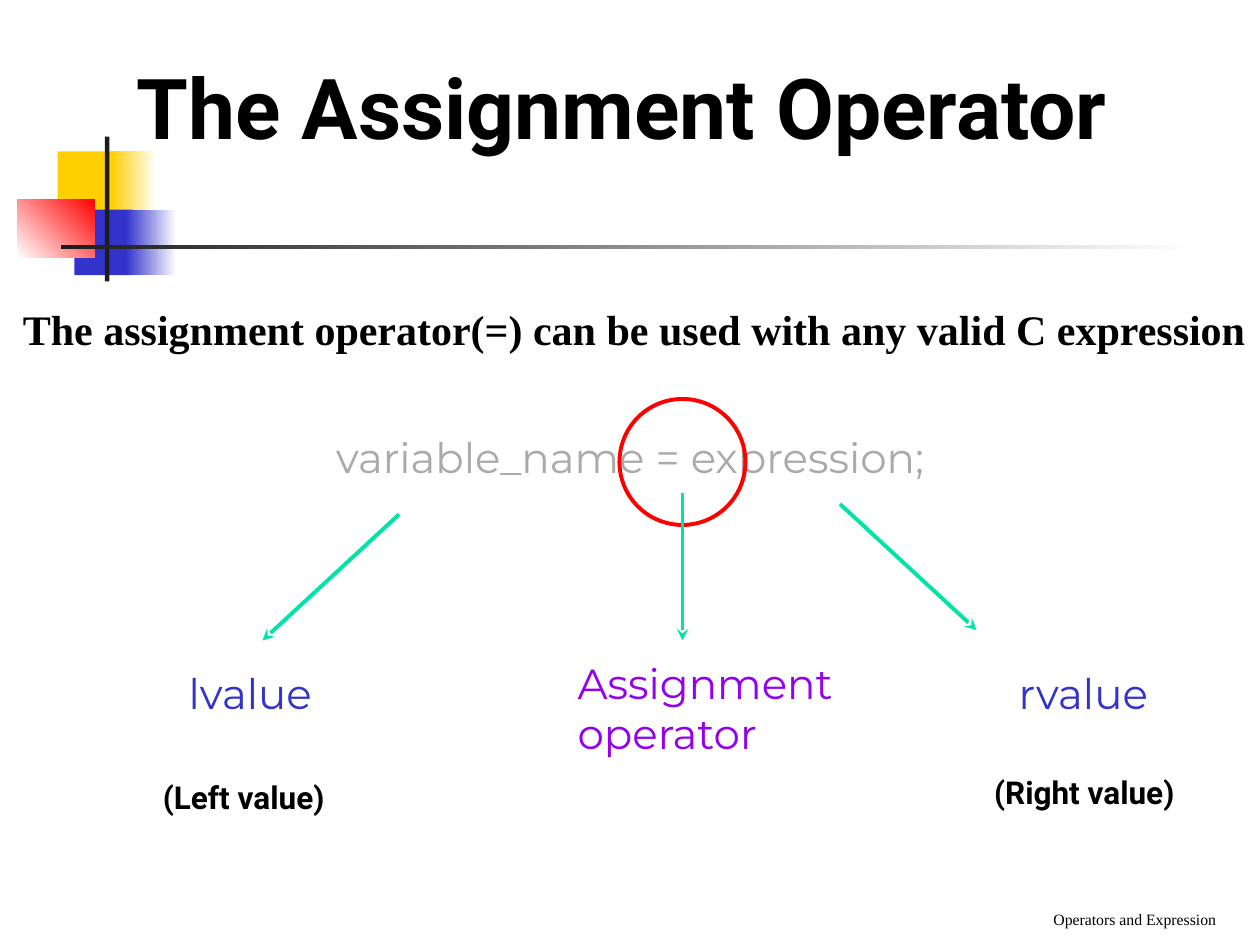
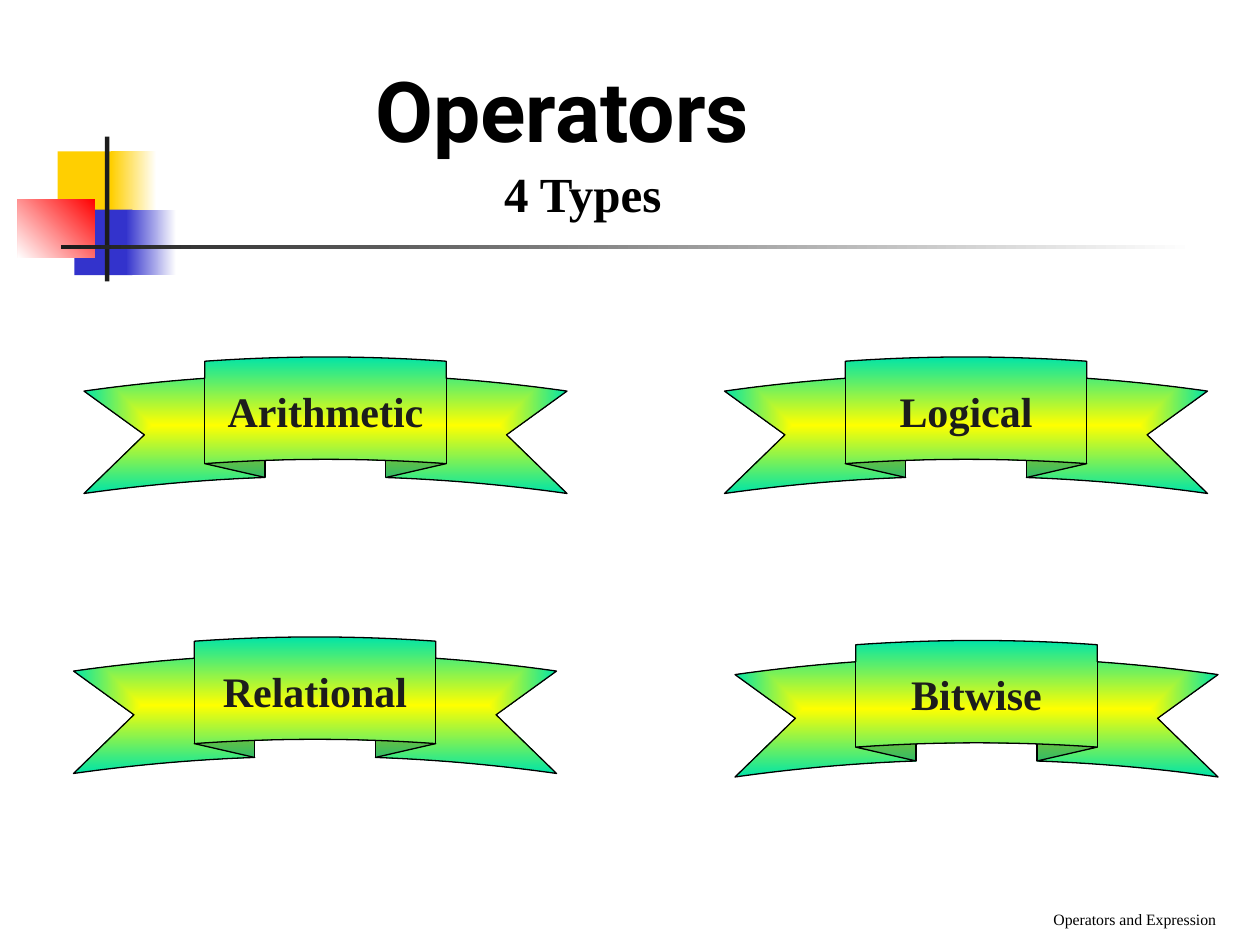
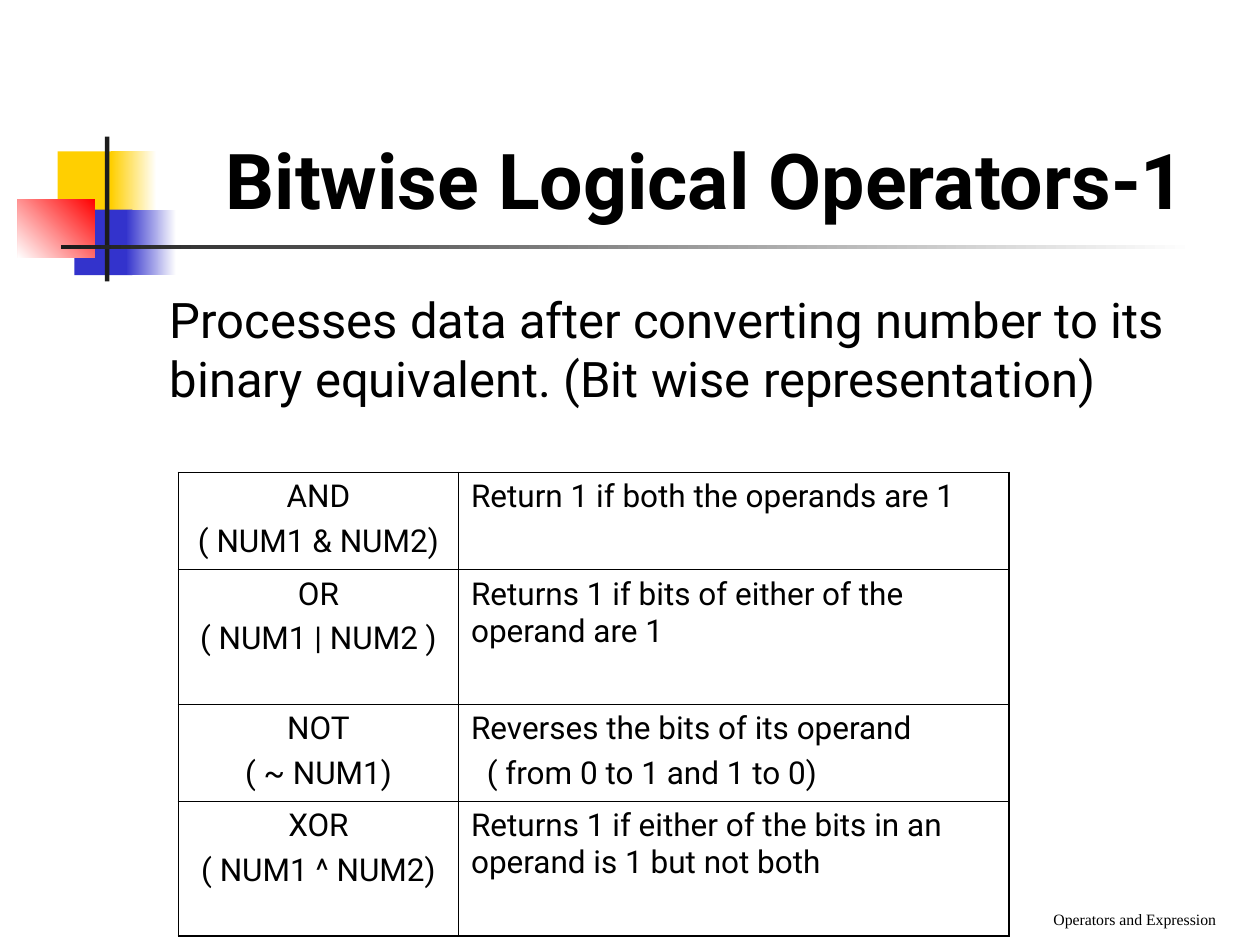
"""Build three slides on C assignment and bitwise operators."""
from lxml.etree import SubElement
from pptx import Presentation
from pptx.dml.color import RGBColor
from pptx.enum.shapes import MSO_CONNECTOR, MSO_SHAPE
from pptx.enum.text import MSO_ANCHOR, PP_ALIGN
from pptx.oxml.ns import qn
from pptx.util import Pt

BLACK = RGBColor(0x00, 0x00, 0x00)
WHITE = RGBColor(0xFF, 0xFF, 0xFF)
INK = RGBColor(0x1C, 0x1C, 0x1C)
GOLD = RGBColor(0xFF, 0xCF, 0x01)
BLUE = RGBColor(0x33, 0x33, 0xCC)
RED = RGBColor(0xFF, 0x00, 0x00)
GREEN = RGBColor(0x00, 0xE4, 0xA8)
YELLOW = RGBColor(0xFF, 0xFF, 0x00)
GRAY = RGBColor(0xAA, 0xAA, 0xAA)
PURPLE = RGBColor(0x94, 0x00, 0xED)
HEAD, CODE, SERIF = "Roboto", "Montserrat", "Times New Roman"
LEFT, CENTER, RIGHT = PP_ALIGN.LEFT, PP_ALIGN.CENTER, PP_ALIGN.RIGHT


def write(tf, lines, size, font, color=BLACK, bold=False, align=LEFT, gap=0):
    """Fill a text frame with one paragraph per line."""
    for i, line in enumerate(lines):
        p = tf.paragraphs[0] if i == 0 else tf.add_paragraph()
        p.alignment = align
        if i and gap:
            p.space_before = Pt(gap)
        r = p.add_run()
        r.text = line
        r.font.size = Pt(size)
        r.font.name = font
        r.font.bold = bold
        r.font.color.rgb = color


def shade(sp, start, end, angle=180):
    """Give a shape a two-colour linear gradient."""
    sp.fill.gradient()
    sp.fill.gradient_angle = angle
    for stop, color in zip(sp.fill.gradient_stops, (start, end)):
        stop.color.rgb = color


prs = Presentation()
prs.slide_width, prs.slide_height = Pt(720), Pt(540)
layout = prs.slide_layouts[6]
assignment, operators, bitwise = [prs.slides.add_slide(layout) for _ in range(3)]

motif = [
    (33, 86.5, 34.5, 37.5, GOLD, None, 0),
    (63.5, 86.5, 26, 37.5, WHITE, GOLD, 180),
    (42.5, 119.75, 33.25, 37.5, BLUE, None, 0),
    (72, 119.75, 28.75, 37.5, WHITE, BLUE, 180),
    (10, 113.75, 44.25, 33.5, RED, WHITE, 225),
    (60, 78, 2.5, 82.75, INK, None, 0),
    (35, 140, 648, 2.5, WHITE, INK, 180),
]
for i, (x, y, w, h, start, end, angle) in enumerate(motif):
    sp = assignment.shapes.add_shape(MSO_SHAPE.RECTANGLE, Pt(x), Pt(y), Pt(w), Pt(h))
    sp.shadow.inherit = False
    sp.line.fill.background()
    if end is None:
        sp.fill.solid()
        sp.fill.fore_color.rgb = start
    else:
        shade(sp, start, end, angle)
    sp.element.nvSpPr.cNvPr.set("id", str(20 + i))
    layout.shapes.element.append(sp.element)

texts = [
    (assignment, 71, 28, 632, 65, ["The Assignment Operator"], 48, HEAD, BLACK, True, LEFT),
    (assignment, 6, 170, 726, 36,
     ["The assignment operator(=) can be used with any valid C expression"],
     24, SERIF, BLACK, True, LEFT),
    (assignment, 81, 243, 558, 51, ["variable_name = expression;"],
     24, CODE, GRAY, False, CENTER),
    (assignment, 84, 378, 118, 51, ["lvalue"], 24, CODE, BLUE, False, CENTER),
    (assignment, 560, 378, 118, 51, ["rvalue"], 24, CODE, BLUE, False, CENTER),
    (assignment, 323, 372, 195, 102, ["Assignment", "operator"],
     24, CODE, PURPLE, False, LEFT),
    (assignment, 86, 441, 116, 29, ["(Left value)"], 18, HEAD, BLACK, True, LEFT),
    (assignment, 561, 438, 129, 29, ["(Right value)"], 18, HEAD, BLACK, True, LEFT),
    (operators, 207.5, 30, 258, 65, ["Operators"], 48, HEAD, BLACK, True, LEFT),
    (operators, 0, 90, 666, 41, ["4 Types"], 28, SERIF, BLACK, True, CENTER),
    (bitwise, 87, 72, 633, 60, ["Bitwise Logical Operators-1"],
     44, HEAD, BLACK, True, CENTER),
    (bitwise, 90, 162, 594, 80,
     ["Processes data after converting number to its binary equivalent. "
      "(Bit wise representation)"], 28, HEAD, BLACK, False, LEFT),
]
for s in prs.slides:
    texts.append((s, 264, 498, 438, 36, ["Operators and Expression"],
                  9, SERIF, BLACK, False, RIGHT))
for s, x, y, w, h, lines, size, font, color, bold, align in texts:
    tf = s.shapes.add_textbox(Pt(x), Pt(y), Pt(w), Pt(h)).text_frame
    tf.word_wrap = True
    if align == RIGHT:
        tf.vertical_anchor = MSO_ANCHOR.BOTTOM
    write(tf, lines, size, font, color, bold, align)

circle = assignment.shapes.add_shape(MSO_SHAPE.OVAL, Pt(354), Pt(228), Pt(72), Pt(72))
circle.shadow.inherit = False
circle.fill.background()
circle.line.color.rgb = RED
circle.line.width = Pt(2.25)

for x1, y1, x2, y2 in [(228, 294, 150, 366), (480, 288, 558, 360), (390, 282, 390, 366)]:
    arrow = assignment.shapes.add_connector(
        MSO_CONNECTOR.STRAIGHT, Pt(x1), Pt(y1), Pt(x2), Pt(y2))
    arrow.line.color.rgb = GREEN
    arrow.line.width = Pt(2.25)
    SubElement(arrow.line._get_or_add_ln(), qn("a:tailEnd"), type="stealth")
    SubElement(arrow.element.spPr, qn("a:effectLst"))

ribbons = [(48, 204, "Arithmetic"), (42, 364, "Relational"),
           (414, 204, "Logical"), (420, 366, "Bitwise")]
for x, y, name in ribbons:
    sp = operators.shapes.add_shape(
        MSO_SHAPE.CURVED_UP_RIBBON, Pt(x), Pt(y), Pt(276), Pt(78))
    sp.shadow.inherit = False
    sp.line.color.rgb = BLACK
    sp.line.width = Pt(0.75)
    shade(sp, YELLOW, GREEN)
    lin = sp.element.spPr.find(".//" + qn("a:lin"))
    grad = lin.getparent()
    grad.remove(lin)
    center = SubElement(grad, qn("a:path"), {"path": "rect"})
    SubElement(center, qn("a:fillToRect"), dict.fromkeys("ltrb", "50000"))
    sp.text_frame.word_wrap = False
    sp.text_frame.vertical_anchor = MSO_ANCHOR.MIDDLE
    write(sp.text_frame, [name], 24, SERIF, INK, True, CENTER)

rows = [
    (["AND", "( NUM1 & NUM2)"], ["Return 1 if both the operands are 1"]),
    (["OR", "( NUM1 | NUM2 )"], ["Returns 1 if bits of either of the operand are 1"]),
    (["NOT", "( ~ NUM1)"],
     ["Reverses the bits of its operand", "( from 0 to 1 and 1 to 0)"]),
    (["XOR", "( NUM1 ^ NUM2)"],
     ["Returns 1 if either of the bits in an operand is 1 but not both"]),
]
table = bitwise.shapes.add_table(
    4, 2, Pt(102), Pt(270), Pt(474.5), Pt(265)).table
table.first_row = table.horz_banding = False
for column, width in zip(table.columns, (160, 314.5)):
    column.width = Pt(width)
for i, row in enumerate(rows):
    table.rows[i].height = Pt((55.5, 77)[i % 2])
    for j, lines in enumerate(row):
        cell = table.cell(i, j)
        write(cell.text_frame, lines, 18, HEAD, align=(CENTER, LEFT)[j], gap=4.5)
        if j == 1:
            for p in cell.text_frame.paragraphs[1:]:
                p._p.get_or_add_pPr().set("marL", str(Pt(9)))
        tcPr = cell._tc.get_or_add_tcPr()
        outer = {"L": j == 0, "R": j == 1, "T": i == 0, "B": i == 3}
        for side, is_outer in outer.items():
            ln = SubElement(tcPr, qn(f"a:ln{side}"), w=str(Pt(1.08 if is_outer else 0.45)))
            fill = SubElement(ln, qn("a:solidFill"))
            SubElement(fill, qn("a:srgbClr"), val=str(BLACK))
        cell.fill.background()

prs.save("out.pptx")
